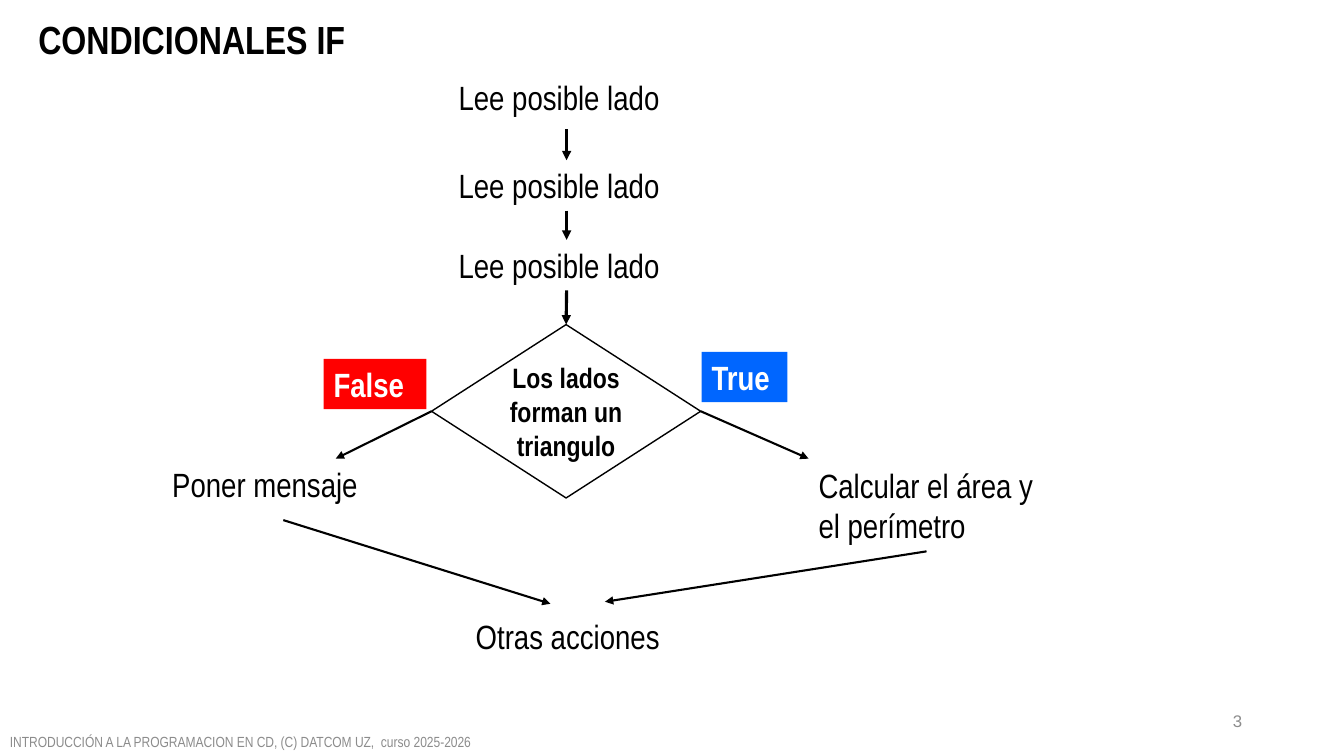
import pptx
import pptx.dml.color
import pptx.enum.shapes
import pptx.enum.text
import pptx.oxml.ns
import pptx.util
from lxml import etree

PX = 9144  # EMU per px, 100 px to the inch
COLORS = {"black": "000000", "white": "FFFFFF", "gray": "8C8C8C",
          "true": "0066FF", "false": "FF0000"}
SHAPE = pptx.enum.shapes.MSO_SHAPE
ALIGN = pptx.enum.text.PP_ALIGN
ANCHOR = pptx.enum.text.MSO_ANCHOR
TOP, LEFT, BOTTOM, RIGHT = range(4)


def px(*values):
    return [pptx.util.Emu(v * PX) for v in values]


def rgb(name):
    return pptx.dml.color.RGBColor.from_string(COLORS[name])


def write(s, text, size=24, color="black", bold=False, font="Arial Narrow",
          align=ALIGN.LEFT, anchor=ANCHOR.TOP):
    tf = s.text_frame
    tf.word_wrap = True
    tf.auto_size = pptx.enum.text.MSO_AUTO_SIZE.NONE
    tf.vertical_anchor = anchor
    p = tf.paragraphs[0]
    p.alignment = align
    r = p.add_run()
    r.text = text
    r.font.name = font
    r.font.size = pptx.util.Pt(size)
    r.font.bold = bold
    r.font.color.rgb = rgb(color)


def add_label(slide, box, text, **fmt):
    write(slide.shapes.add_textbox(*px(*box)), text, anchor=ANCHOR.MIDDLE, **fmt)


def add_box(slide, box, text, fill="white", kind=SHAPE.RECTANGLE, line=None, **fmt):
    s = slide.shapes.add_shape(kind, *px(*box))
    s.shadow.inherit = False
    s.fill.solid()
    s.fill.fore_color.rgb = rgb(fill)
    if line:
        s.line.color.rgb = rgb("black")
        s.line.width = pptx.util.Pt(line)
    else:
        s.line.fill.background()
    write(s, text, **fmt)
    return s


def add_arrow(slide, start, end, width=1.5, begin=None, finish=None):
    """Draw an arrow; begin and finish are optional (shape, side) joints."""
    c = slide.shapes.add_connector(
        pptx.enum.shapes.MSO_CONNECTOR.STRAIGHT, *px(*start, *end))
    c.line.color.rgb = rgb("black")
    c.line.width = pptx.util.Pt(width)
    qn = pptx.oxml.ns.qn
    etree.SubElement(c.line._get_or_add_ln(), qn("a:tailEnd"), type="triangle")
    etree.SubElement(c._element.spPr, qn("a:effectLst"))
    if begin:
        c.begin_connect(*begin)
    if finish:
        c.end_connect(*finish)


def add_title(slide, box, text):
    s = slide.shapes.title
    s.left, s.top, s.width, s.height = px(*box)
    write(s, text, size=28, bold=True)


def main():
    prs = pptx.Presentation()
    prs.slide_width, prs.slide_height = px(1333, 750)
    slide = prs.slides.add_slide(prs.slide_layouts[5])

    add_title(slide, (28, 10, 572, 57), "CONDICIONALES IF")
    add_label(slide, (0, 721, 667, 29),
              "INTRODUCCIÓN A LA PROGRAMACION EN CD, (C) DATCOM UZ,  curso 2025-2026",
              size=10.5, color="gray")
    add_label(slide, (942, 695, 300, 40), "3", size=12, color="gray",
              font="Arial", align=ALIGN.RIGHT)

    reads = [add_box(slide, (445, y, 234, 50), "Lee posible lado")
             for y in (71, 159, 238)]
    decision = add_box(slide, (428, 322, 267, 172), "Los lados forman un triangulo",
                       kind=SHAPE.FLOWCHART_DECISION, line=1, size=20, bold=True,
                       align=ALIGN.CENTER, anchor=ANCHOR.MIDDLE)
    area = add_box(slide, (802, 456, 234, 91), "Calcular el área y el perímetro")
    add_box(slide, (161, 455, 234, 50), "Poner mensaje")
    add_box(slide, (462, 606, 234, 50), "Otras acciones")

    add_arrow(slide, (562, 128), (562, 159), 2.25, finish=(reads[1], TOP))
    for upper, lower in zip(reads[1:], [reads[2], decision]):
        add_arrow(slide, (562, 209), (562, 240), 2.25,
                  begin=(upper, BOTTOM), finish=(lower, TOP))
    add_arrow(slide, (695, 408), (802, 455), begin=(decision, RIGHT))
    add_arrow(slide, (428, 408), (333, 455), begin=(decision, LEFT))
    add_arrow(slide, (281, 516), (546, 599))
    add_arrow(slide, (919, 547), (600, 597), begin=(area, BOTTOM))

    add_box(slide, (696, 349, 85, 50), "True", fill="true", color="white", bold=True)
    add_box(slide, (321, 356, 102, 50), "False", fill="false", color="white", bold=True)
    prs.save("out.pptx")


if __name__ == "__main__":
    main()
